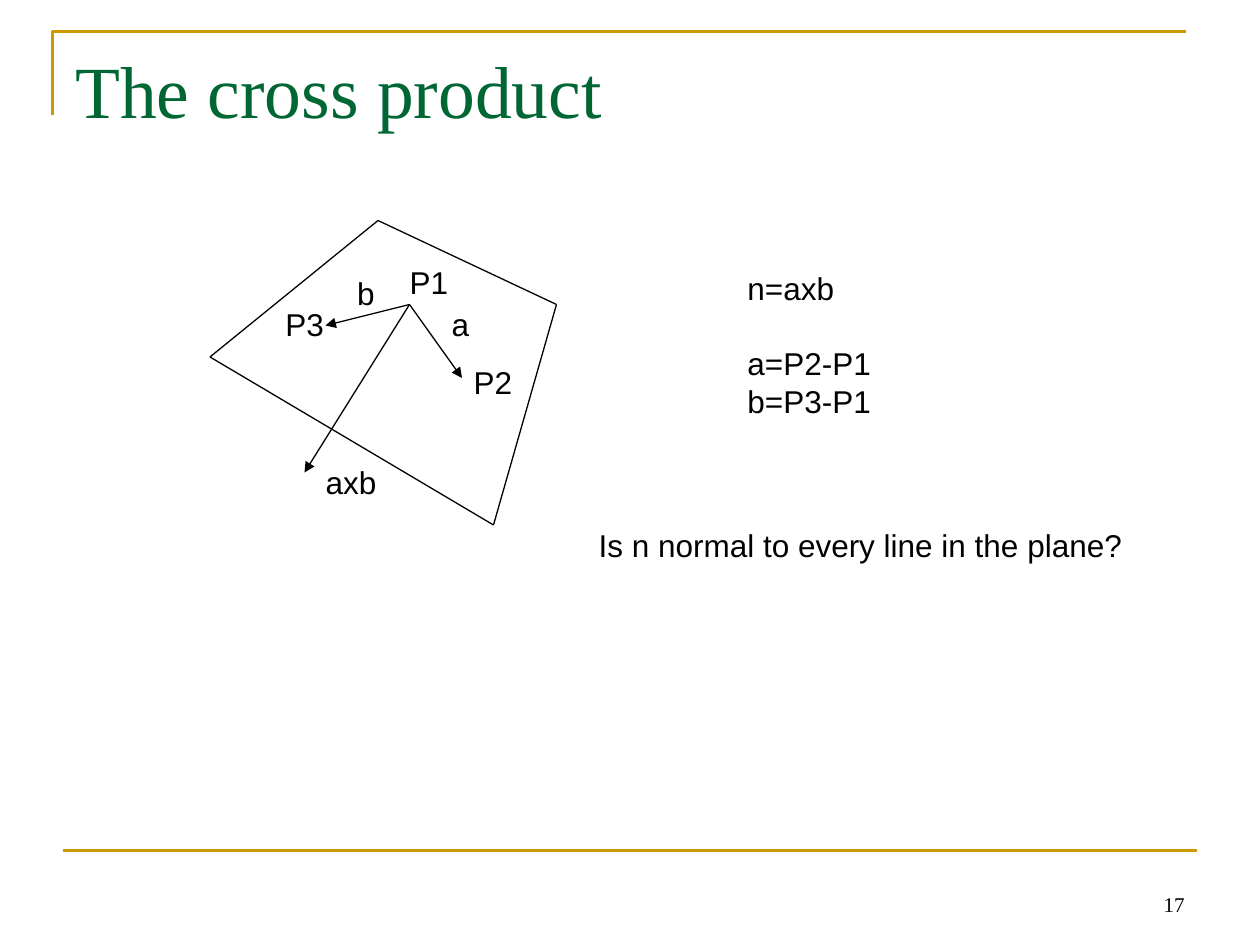
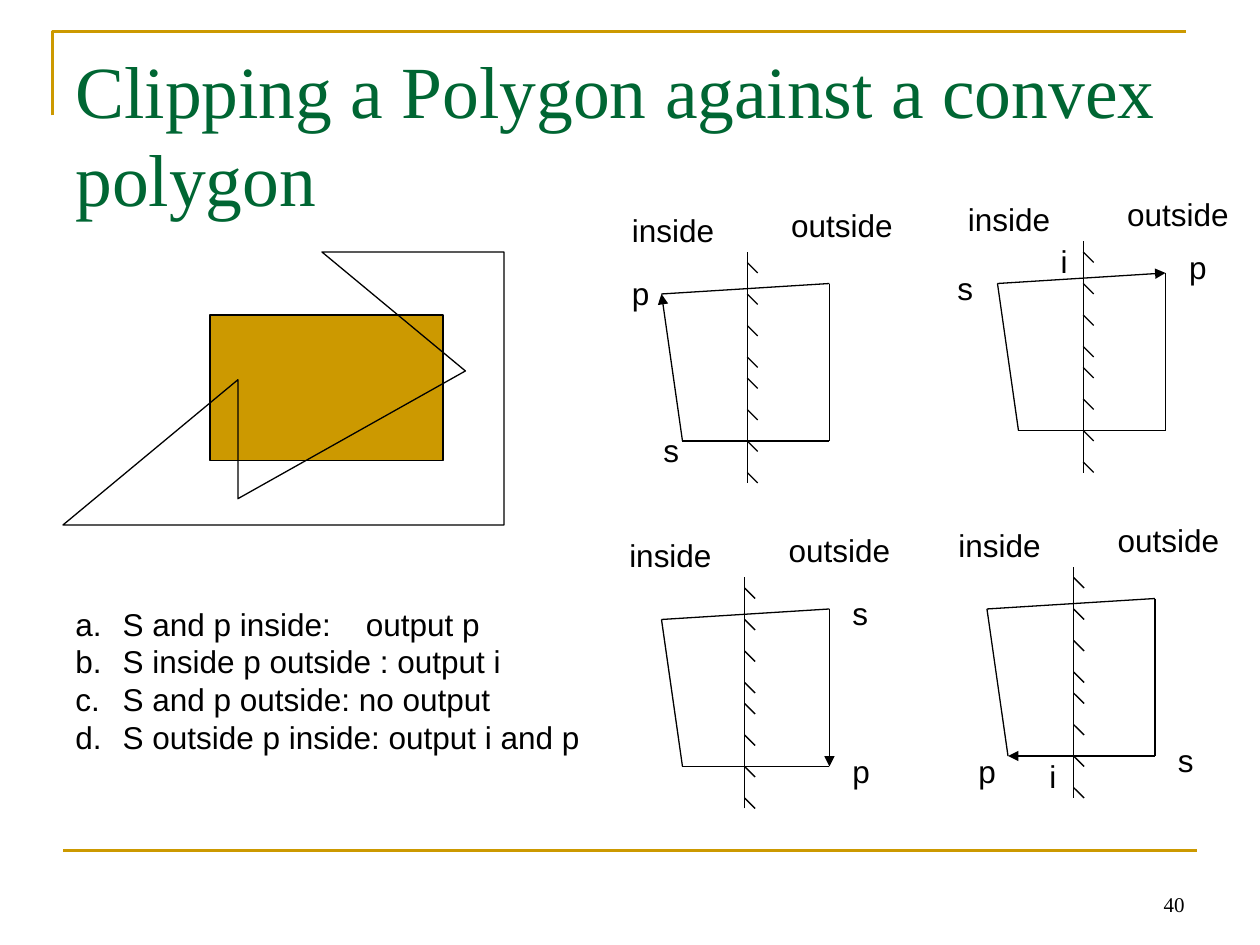
from lxml import etree
from pptx import Presentation
from pptx.dml.color import RGBColor
from pptx.enum import shapes, text
from pptx.oxml import ns
from pptx.util import Pt

GOLD = RGBColor(0xCC, 0x99, 0x00)
GREEN = RGBColor(0x00, 0x66, 0x33)
BLACK = RGBColor(0, 0, 0)
SERIF, SANS = "Times New Roman", "Arial"

LABEL_HEIGHT = 29
LABEL_WIDTHS = {"a": 24.5, "b": 24.5, "p": 24.5, "s": 23.5, "i": 18.5, "axb": 44,
                "P1": 37, "P2": 37, "P3": 37, "inside": 62, "outside": 73}

TICK_OFFSETS = (6, 24, 42, 60, 72, 90, 108, 126)
TICK_SIZE = 6
EDGE_HEIGHT = 132


def add_text(slide, lines, left, top, width, height, size=18, font=SANS,
             color=BLACK, wrap=False, align=text.PP_ALIGN.LEFT,
             anchor=text.MSO_ANCHOR.TOP, gap_before=None, prepare=None):
    frame = slide.shapes.add_textbox(Pt(left), Pt(top), Pt(width), Pt(height)).text_frame
    frame.word_wrap = wrap
    if not wrap:
        frame.auto_size = text.MSO_AUTO_SIZE.SHAPE_TO_FIT_TEXT
    frame.vertical_anchor = anchor
    frame.text = "\n".join(lines)
    for index, paragraph in enumerate(frame.paragraphs):
        paragraph.alignment = align
        if index == gap_before:
            paragraph.space_before = Pt(21.6)
        if prepare:
            prepare(paragraph)
        paragraph.font.size = Pt(size)
        paragraph.font.name = font
        paragraph.font.color.rgb = color


def add_label(slide, word, left, top):
    add_text(slide, [word], left, top, LABEL_WIDTHS[word], LABEL_HEIGHT)


def add_line(slide, start, end, color=BLACK, weight=0.75, arrow=False):
    line = slide.shapes.add_connector(
        shapes.MSO_CONNECTOR.STRAIGHT, *(Pt(value) for value in (*start, *end)))
    line.line.color.rgb = color
    line.line.width = Pt(weight)
    properties = line._element.spPr
    if arrow:
        etree.SubElement(properties.find(ns.qn("a:ln")), ns.qn("a:tailEnd"), type="triangle")
    etree.SubElement(properties, ns.qn("a:effectLst"))


def add_outline(slide, points, color, weight, close):
    builder = slide.shapes.build_freeform(*points[0], scale=Pt(1))
    builder.add_line_segments(points[1:], close=close)
    outline = builder.convert_to_shape()
    outline.shadow.inherit = False
    outline.fill.background()
    outline.line.color.rgb = color
    outline.line.width = Pt(weight)


def add_framed_slide(deck, title, number):
    slide = deck.slides.add_slide(deck.slide_layouts[6])
    add_outline(slide, [(30, 66), (30, 18), (678, 18)], GOLD, 1.5, close=False)
    add_line(slide, (36, 486), (684, 486), GOLD, 1.5)
    add_text(slide, [title], 36, 22, 648, 90, 42, SERIF, GREEN, wrap=True)
    add_text(slide, [number], 516, 491.5, 168, 36, 12, SERIF, wrap=True,
             align=text.PP_ALIGN.RIGHT, anchor=text.MSO_ANCHOR.BOTTOM)
    return slide


def add_cross_product(deck):
    slide = add_framed_slide(deck, "The cross product", "17")
    plane = [(216, 126), (318, 174), (282, 300), (120, 204)]
    for start, end in zip(plane, plane[1:] + plane[:1]):
        add_line(slide, start, end)
    p1 = (234, 174)
    for tip in ((186, 186), (264, 216), (174, 270)):
        add_line(slide, p1, tip, arrow=True)
    for word, left, top in (("a", 251, 171), ("b", 197, 153), ("axb", 179, 261),
                            ("P1", 227, 147), ("P3", 156, 171), ("P2", 263.5, 204)):
        add_label(slide, word, left, top)
    add_text(slide, ["n=axb", "a=P2-P1", "b=P3-P1"], 420, 150, 85, 93.5, gap_before=1)
    add_text(slide, ["Is n normal to every line in the plane?"], 335, 297, 313.5, LABEL_HEIGHT)


def add_clip_case(slide, left, top, edge_x, arrow_side, labels):
    corners = [(left + 12, top + 84), (left, top), (left + 96, top - 6), (left + 96, top + 84)]
    for side, start in enumerate(corners):
        add_line(slide, start, corners[(side + 1) % 4], arrow=side == arrow_side)
    edge_top = top - 24
    add_line(slide, (edge_x, edge_top + EDGE_HEIGHT), (edge_x, edge_top))
    for offset in TICK_OFFSETS:
        tick_y = edge_top + offset
        add_line(slide, (edge_x, tick_y), (edge_x + TICK_SIZE, tick_y + TICK_SIZE))
    add_label(slide, "inside", edge_x - 73, edge_top - 27)
    add_label(slide, "outside", edge_x + 18, edge_top - 30)
    for word, (label_left, label_top) in labels.items():
        add_label(slide, word, label_left, label_top)


def letter_rule(paragraph):
    properties = paragraph._p.get_or_add_pPr()
    properties.set("marL", str(Pt(27)))
    properties.set("indent", str(-Pt(27)))
    etree.SubElement(properties, ns.qn("a:buFont"), typeface=SANS)
    etree.SubElement(properties, ns.qn("a:buAutoNum"), type="alphaLcPeriod")
    if "\t" in paragraph.text:
        tabs = etree.SubElement(properties, ns.qn("a:tabLst"))
        etree.SubElement(tabs, ns.qn("a:tab"), pos=str(Pt(166)), algn="l")


def add_clipping(deck):
    slide = add_framed_slide(deck, "Clipping a Polygon against a convex polygon", "40")
    window = slide.shapes.add_shape(
        shapes.MSO_SHAPE.RECTANGLE, Pt(120), Pt(180), Pt(133.25), Pt(83))
    window.shadow.inherit = False
    window.fill.solid()
    window.fill.fore_color.rgb = GOLD
    window.line.color.rgb = BLACK
    window.line.width = Pt(0.75)
    add_outline(slide, [(266.4, 212.5), (183.5, 144), (288, 144), (288, 300),
                        (36, 300), (136, 217.3), (136, 285.3)], BLACK, 0.75, close=True)
    cases = (
        (378, 168, 427, {"s": (372, 243), "p": (354, 153)}),
        (570, 162, 619, {"s": (540, 150), "p": (672.5, 138), "i": (599, 135)}),
        (378, 354, 425.5, {"s": (480, 336), "p": (480, 426)}),
        (564, 348, 613.5, {"s": (666, 420), "p": (552, 426), "i": (592.5, 429)}),
    )
    for arrow_side, (left, top, edge_x, labels) in enumerate(cases):
        add_clip_case(slide, left, top, edge_x, arrow_side, labels)
    add_text(slide, ["S and p inside:\toutput p", "S inside p outside : output i",
                     "S and p outside: no output", "S outside p inside: output i and p"],
             36, 342, 302.5, 93.5, prepare=letter_rule)


def main():
    deck = Presentation()
    deck.slide_width, deck.slide_height = Pt(720), Pt(540)
    add_cross_product(deck)
    add_clipping(deck)
    deck.save("out.pptx")


if __name__ == "__main__":
    main()
